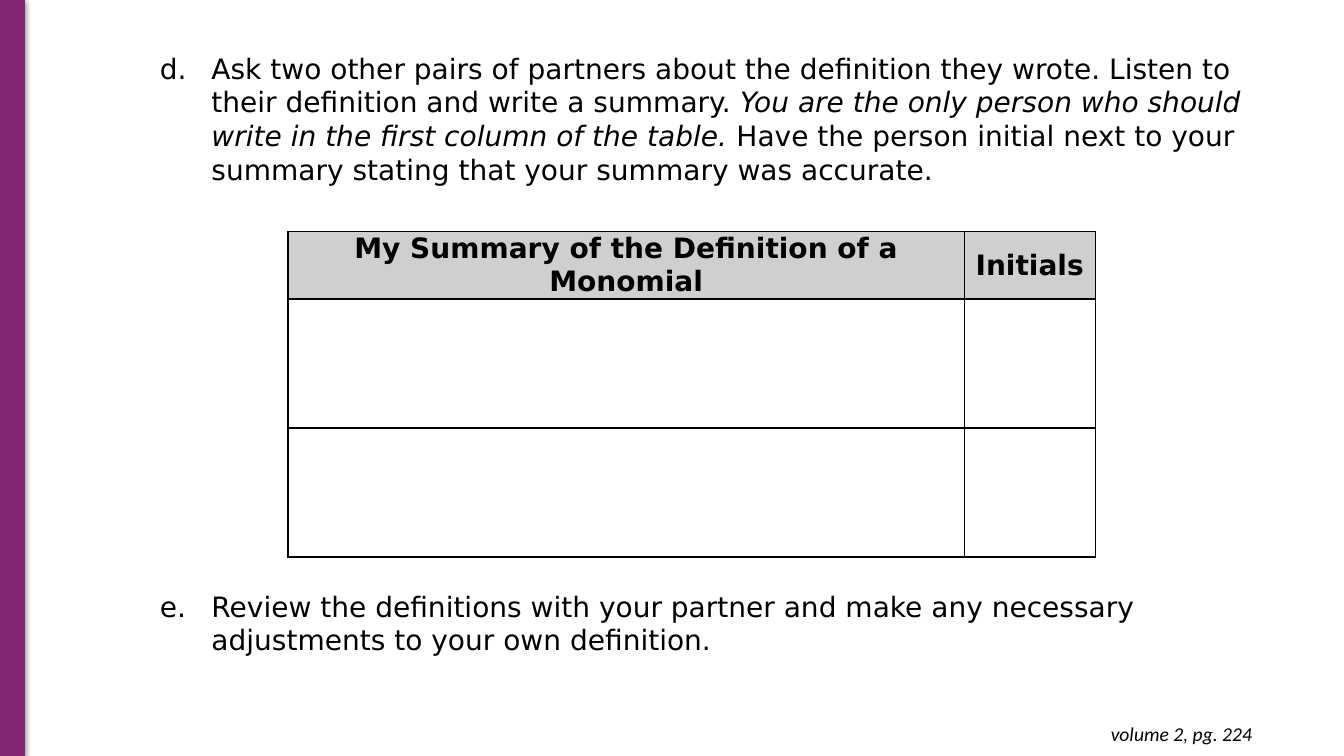
from dataclasses import dataclass

import pptx
import pptx.dml.color
import pptx.enum.shapes
import pptx.enum.text
import pptx.oxml
import pptx.oxml.ns
import pptx.util
from lxml import etree
from pptx.util import Cm, Pt

ALIGN = pptx.enum.text.PP_ALIGN


@dataclass(frozen=True)
class Theme:
    ink: str = "000000"
    bar: str = "822574"
    head: str = "D0CECE"
    font: str = "DejaVu Sans"
    foot: str = "Calibri"
    size: int = 20
    small: int = 14


@dataclass(frozen=True)
class Box:
    left: float
    top: float
    width: float
    height: float

    def cm(self) -> tuple:
        return Cm(self.left), Cm(self.top), Cm(self.width), Cm(self.height)


@dataclass(frozen=True)
class Step:
    start: int
    gap: int
    runs: tuple  # (text, italic) pairs


THEME = Theme()
STEPS = (
    Step(4, 0, (
        ("Ask two other pairs of partners about the definition they wrote. "
         "Listen to their definition and write a summary. ", False),
        ("You are the only person who should write in the first column "
         "of the table.", True),
        (" Have the person initial next to your summary stating that your "
         "summary was accurate.", False))),
    Step(5, 288, (
        ("Review the definitions with your partner and make any necessary "
         "adjustments to your own definition.", False),)),
)
HEADS = ("My Summary of the Definition of a Monomial", "Initials")
COLS = (17.04, 3.3)
ROWS = (1.68, 3.25, 3.25)


def rgb(code: str) -> pptx.dml.color.RGBColor:
    return pptx.dml.color.RGBColor.from_string(code)


def add(parent, tag: str, **attrs: str):
    return etree.SubElement(parent, pptx.oxml.ns.qn(tag), attrs)


def style(para, name: str, size: int) -> None:
    para.font.name = name
    para.font.size = Pt(size)
    para.font.color.rgb = rgb(THEME.ink)


def text_box(slide, box: Box):
    frame = slide.shapes.add_textbox(*box.cm()).text_frame
    frame.word_wrap = True
    frame.auto_size = pptx.enum.text.MSO_AUTO_SIZE.SHAPE_TO_FIT_TEXT
    return frame


def add_bar(slide, box: Box) -> None:
    bar = slide.shapes.add_shape(
        pptx.enum.shapes.MSO_SHAPE.RECTANGLE, *box.cm())
    bar.fill.solid()
    bar.fill.fore_color.rgb = bar.line.color.rgb = rgb(THEME.bar)
    bar.line.width = Pt(0.75)
    bar.shadow.inherit = False
    effect = bar.element.spPr.find(pptx.oxml.ns.qn("a:effectLst"))
    shade = add(effect, "a:outerShdw", blurRad=str(Pt(4.5)),
                dist=str(Pt(1.5)), dir="5400000", rotWithShape="0")
    tone = add(shade, "a:srgbClr", val=THEME.ink)
    add(tone, "a:alpha", val="50000")


def add_steps(slide, box: Box) -> None:
    frame = text_box(slide, box)
    for num, step in enumerate(STEPS):
        para = frame.add_paragraph() if num else frame.paragraphs[0]
        props = para._p.get_or_add_pPr()
        props.set("marL", str(Cm(2.54)))
        props.set("indent", str(Cm(-1.3)))
        if step.gap:
            para.space_before = Pt(step.gap)
        add(add(props, "a:buClr"), "a:srgbClr", val=THEME.ink)
        add(props, "a:buFont", typeface=THEME.font)
        add(props, "a:buAutoNum", type="alphaLcPeriod",
            startAt=str(step.start))
        style(para, THEME.font, THEME.size)
        for words, slant in step.runs:
            run = para.add_run()
            run.text = words
            if slant:
                run.font.italic = True


def add_rules(cell) -> None:
    props = cell._tc.get_or_add_tcPr()
    for spot, side in enumerate("LRTB"):
        line = add(props, f"a:ln{side}", w=str(Pt(1)))
        add(add(line, "a:solidFill"), "a:srgbClr", val=THEME.ink)
        props.insert(spot, line)


def add_grid(slide, box: Box) -> None:
    table = slide.shapes.add_table(len(ROWS), len(COLS), *box.cm()).table
    table.first_row = table.horz_banding = False
    for col, width in zip(table.columns, COLS):
        col.width = Cm(width)
    for row, height in zip(table.rows, ROWS):
        row.height = Cm(height)
    for cell in table.iter_cells():
        cell.fill.background()
        add_rules(cell)
    # Header row
    for cell, words in zip(table.rows[0].cells, HEADS):
        cell.text = words
        cell.fill.solid()
        cell.fill.fore_color.rgb = rgb(THEME.head)
        cell.vertical_anchor = pptx.enum.text.MSO_ANCHOR.MIDDLE
        cell.margin_left = cell.margin_right = Cm(0.18)
        cell.margin_top = cell.margin_bottom = 0
        para = cell.text_frame.paragraphs[0]
        para.alignment = ALIGN.CENTER
        para.space_after = Pt(10)
        style(para, THEME.font, THEME.size)
        para.font.bold = True


def add_foot(slide, box: Box) -> None:
    frame = text_box(slide, box)
    frame.margin_top = frame.margin_bottom = Cm(0.25)
    para = frame.paragraphs[0]
    para.text = "volume 2, pg. 224"
    para.alignment = ALIGN.RIGHT
    style(para, THEME.foot, THEME.small)
    para.font.italic = True


def main() -> None:
    deck = pptx.Presentation()
    deck.slide_width, deck.slide_height = Cm(33.87), Cm(19.05)
    slide = deck.slides.add_slide(deck.slide_layouts[6])
    add_steps(slide, Box(2.54, 1.17, 29.85, 15.65))
    add_bar(slide, Box(0, -0.03, 0.61, 19.08))
    add_grid(slide, Box(7.26, 5.84, sum(COLS), sum(ROWS)))
    add_foot(slide, Box(24.49, 17.93, 7.32, 1.12))
    deck.save("out.pptx")


if __name__ == "__main__":
    main()
